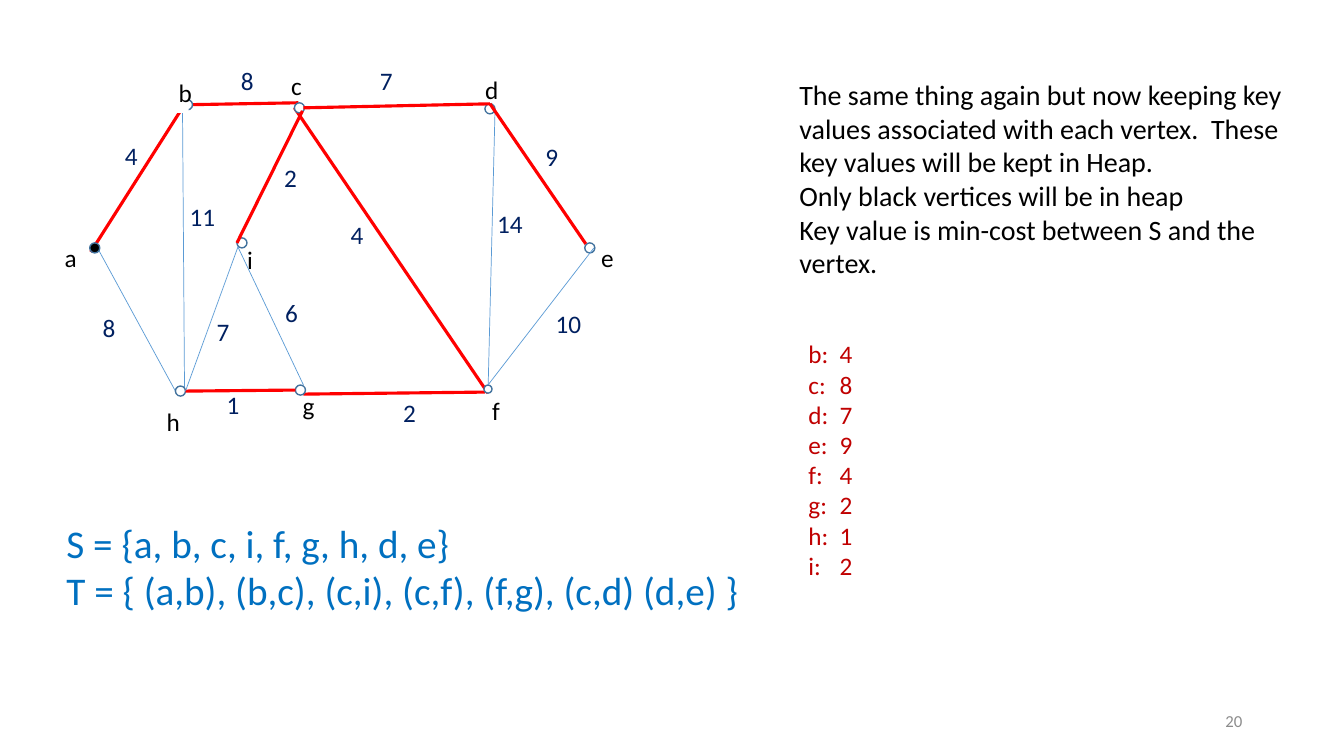
from dataclasses import dataclass

from lxml import etree
from pptx import Presentation
from pptx import util as u
from pptx.dml.color import RGBColor
from pptx.enum import shapes, text
from pptx.oxml import ns

FONT = "Calibri"
BLACK, WHITE, NAVY = "000000", "FFFFFF", "002060"
TREE_RED, EDGE_BLUE, DOT_OUTLINE = "FF0000", "5B9BD5", "43739E"
SET_BLUE, KEY_RED, PAGE_GRAY = "0070C0", "C00000", "8C8C8C"


@dataclass
class Vertex:
    name: str
    dot: tuple[float, float]
    label: tuple[float, float]
    dot_size: float = 0.1
    label_width: float = 0.18
    fill: str = WHITE


@dataclass
class Edge:
    start: tuple[float, float]
    end: tuple[float, float]
    in_tree: bool = False
    above_dots: bool = False


@dataclass
class Weight:
    cost: int
    left: float
    top: float


VERTICES = [
    Vertex("a", (0.89, 2.41), (0.56, 2.35), fill=BLACK),
    Vertex("c", (2.92, 1.02), (2.79, 0.65), label_width=0.23),
    Vertex("d", (4.81, 1.03), (4.73, 0.69)),
    Vertex("e", (5.8, 2.41), (5.88, 2.36)),
    Vertex("f", (4.8, 3.82), (4.8, 3.87), dot_size=0.08),
    Vertex("g", (2.93, 3.82), (2.92, 3.82)),
    Vertex("h", (1.74, 3.83), (1.57, 3.98)),
    Vertex("i", (2.35, 2.36), (2.37, 2.37)),
]
# The label of b hides the ends of its edges, so it is drawn last.
VERTEX_B = Vertex("b", (1.81, 0.99), (1.69, 0.72))

EDGES = [
    Edge((1.81, 1.04), (1.83, 3.84)),
    Edge((1.81, 1.04), (2.96, 1.02), in_tree=True),
    Edge((1.86, 0.99), (0.9, 2.5), in_tree=True),
    Edge((4.84, 3.9), (4.91, 1.09)),
    Edge((3.01, 3.91), (4.81, 3.89), in_tree=True),
    Edge((2.92, 1.07), (4.84, 3.9), in_tree=True),
    Edge((1.74, 3.88), (0.94, 2.41)),
    Edge((2.35, 2.41), (3, 1.1), in_tree=True, above_dots=True),
    Edge((2.93, 3.87), (1.84, 3.88), in_tree=True, above_dots=True),
    Edge((5.89, 2.46), (4.84, 3.82), above_dots=True),
    Edge((4.86, 1.03), (3.01, 1.07), in_tree=True, above_dots=True),
    Edge((1.84, 3.88), (2.36, 2.45), above_dots=True),
    Edge((2.36, 2.45), (3.01, 3.82), above_dots=True),
    Edge((5.81, 2.42), (4.86, 1.03), in_tree=True, above_dots=True),
]

WEIGHTS = [
    Weight(4, 1.14, 1.34), Weight(4, 3.38, 2.13), Weight(2, 3.9, 3.89),
    Weight(2, 2.72, 1.56), Weight(8, 2.29, 0.6), Weight(8, 0.92, 3.05),
    Weight(11, 1.88, 2), Weight(10, 5.51, 3.06), Weight(14, 4.93, 2.07),
    Weight(7, 3.67, 0.6), Weight(9, 5.31, 1.35), Weight(6, 2.73, 2.9),
    Weight(7, 2.05, 3.09), Weight(1, 2.15, 3.81),
]

KEYS = {"b": 4, "c": 8, "d": 7, "e": 9, "f": 4, "g": 2, "h": 1, "i": 2}

EXPLANATION = [
    "The same thing again but now keeping key values associated with each "
    "vertex.  These key values will be kept in Heap.",
    "Only black vertices will be in heap",
    "Key value is min-cost between S and the vertex.",
]
SETS = [
    "S = {a, b, c, i, f, g, h, d, e}",
    "T = { (a,b), (b,c), (c,i), (c,f), (f,g), (c,d) (d,e) }",
]


def rgb(color: str) -> RGBColor:
    return RGBColor.from_string(color)


def add_text(slide, lines: list[str], left: float, top: float, width: float,
             height: float, *, size: float = 18, color: str = BLACK,
             fill: str | None = None, side_inset: float = 0.1,
             top_inset: float = 0.05, align=text.PP_ALIGN.LEFT,
             anchor=text.MSO_ANCHOR.TOP, tab: float | None = None) -> None:
    """Add a text box with one paragraph per line; tab is a stop in inches."""
    box = slide.shapes.add_textbox(u.Inches(left), u.Inches(top),
                                   u.Inches(width), u.Inches(height))
    if fill:
        box.fill.solid()
        box.fill.fore_color.rgb = rgb(fill)
    frame = box.text_frame
    frame.word_wrap = True
    frame.vertical_anchor = anchor
    frame.margin_left = frame.margin_right = u.Inches(side_inset)
    frame.margin_top = u.Inches(top_inset)
    for index, line in enumerate(lines):
        paragraph = frame.paragraphs[0] if index == 0 else frame.add_paragraph()
        paragraph.alignment = align
        if tab is not None:
            stops = etree.SubElement(paragraph._p.get_or_add_pPr(), ns.qn("a:tabLst"))
            etree.SubElement(stops, ns.qn("a:tab"), pos=str(u.Inches(tab)), algn="l")
        run = paragraph.add_run()
        run.text = line
        run.font.name = FONT
        run.font.size = u.Pt(size)
        run.font.color.rgb = rgb(color)


def add_label(slide, vertex: Vertex) -> None:
    add_text(slide, [vertex.name], *vertex.label, vertex.label_width, 0.4, fill=WHITE)


def add_dot(slide, vertex: Vertex) -> None:
    left, top = vertex.dot
    size = u.Inches(vertex.dot_size)
    dot = slide.shapes.add_shape(shapes.MSO_SHAPE.OVAL, u.Inches(left),
                                 u.Inches(top), size, size)
    dot.shadow.inherit = False
    dot.fill.solid()
    dot.fill.fore_color.rgb = rgb(vertex.fill)
    dot.line.color.rgb = rgb(DOT_OUTLINE)
    dot.line.width = u.Pt(1)


def add_edge(slide, edge: Edge) -> None:
    ends = [u.Inches(value) for value in (*edge.start, *edge.end)]
    line = slide.shapes.add_connector(shapes.MSO_CONNECTOR.STRAIGHT, *ends)
    line.line.color.rgb = rgb(TREE_RED if edge.in_tree else EDGE_BLUE)
    line.line.width = u.Pt(2.25 if edge.in_tree else 0.5)
    etree.SubElement(line._element.spPr, ns.qn("a:effectLst"))


def add_weight(slide, weight: Weight) -> None:
    if weight.cost < 10:
        add_text(slide, [str(weight.cost)], weight.left, weight.top, 0.25, 0.4,
                 color=NAVY)
    else:
        add_text(slide, [str(weight.cost)], weight.left, weight.top, 0.42, 0.36,
                 color=NAVY, side_inset=0, top_inset=0)


def add_graph(slide) -> None:
    for vertex in VERTICES:
        add_label(slide, vertex)
    for edge in EDGES:
        if not edge.above_dots:
            add_edge(slide, edge)
    for vertex in [*VERTICES, VERTEX_B]:
        add_dot(slide, vertex)
    for edge in EDGES:
        if edge.above_dots:
            add_edge(slide, edge)
    add_label(slide, VERTEX_B)
    for weight in WEIGHTS:
        add_weight(slide, weight)


def main() -> None:
    deck = Presentation()
    deck.slide_width, deck.slide_height = u.Inches(13.33), u.Inches(7.5)
    slide = deck.slides.add_slide(deck.slide_layouts[6])
    add_graph(slide)
    add_text(slide, SETS, 0.56, 5.1, 6.93, 1.04, size=28, color=SET_BLUE)
    add_text(slide, EXPLANATION, 7.83, 0.72, 5.3, 2.12, size=20)
    add_text(slide, [f"{name}:\t{key}" for name, key in KEYS.items()],
             7.92, 3.31, 4.19, 2.52, color=KEY_RED, tab=0.31)
    add_text(slide, ["20"], 9.42, 6.95, 3, 0.4, size=12, color=PAGE_GRAY,
             align=text.PP_ALIGN.RIGHT, anchor=text.MSO_ANCHOR.MIDDLE)
    deck.save("out.pptx")


if __name__ == "__main__":
    main()
